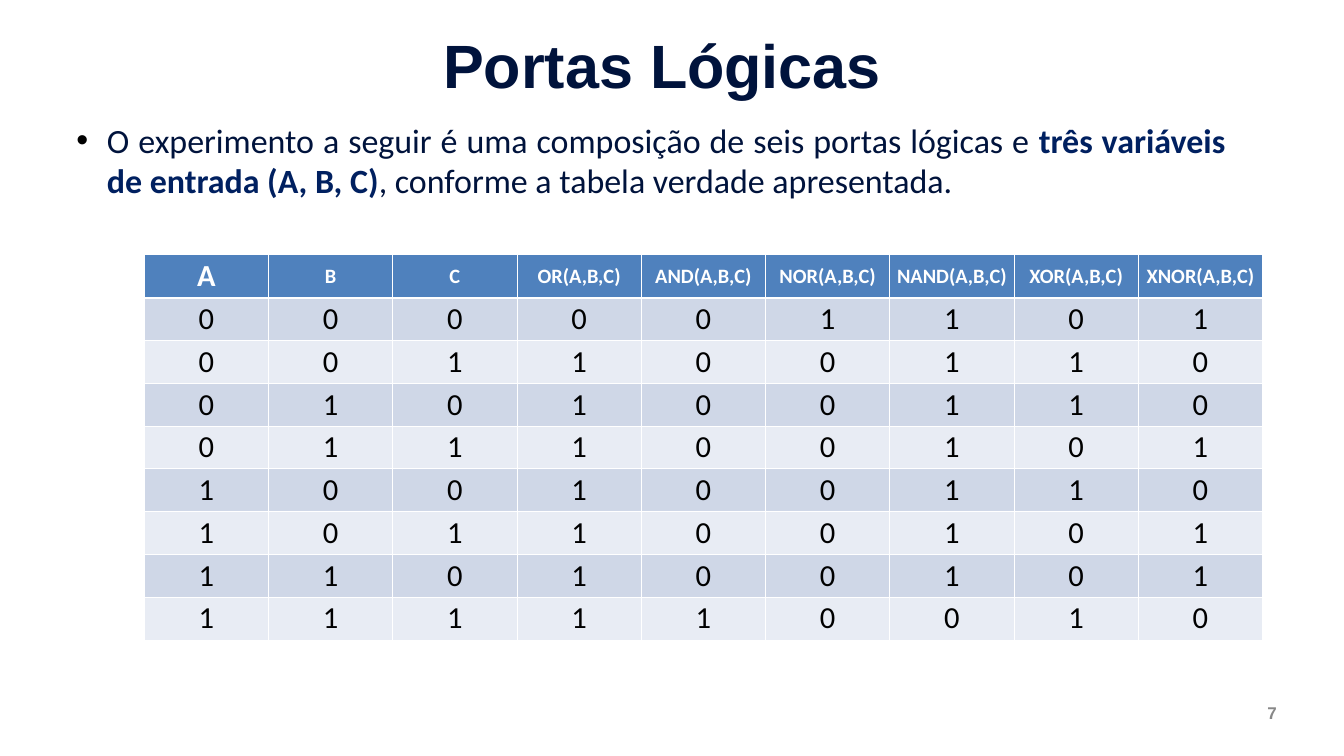
from itertools import product

from lxml import etree
from pptx import Presentation
from pptx.dml.color import RGBColor
from pptx.enum.text import MSO_ANCHOR, MSO_AUTO_SIZE, PP_ALIGN
from pptx.oxml.ns import qn
from pptx.util import Inches, Pt

CENTER, RIGHT, JUSTIFY = PP_ALIGN.CENTER, PP_ALIGN.RIGHT, PP_ALIGN.JUSTIFY
TOP, MIDDLE = MSO_ANCHOR.TOP, MSO_ANCHOR.MIDDLE
NO_AUTOSIZE = MSO_AUTO_SIZE.NONE

NAVY = RGBColor(0x00, 0x13, 0x3C)
BLUE = RGBColor(0x00, 0x20, 0x60)
GRAY = RGBColor(0x88, 0x88, 0x88)
BLACK = RGBColor(0x00, 0x00, 0x00)
WHITE = RGBColor(0xFF, 0xFF, 0xFF)
HEADER_FILL = RGBColor(0x4F, 0x81, 0xBD)
BAND_FILLS = (RGBColor(0xCF, 0xD7, 0xE7), RGBColor(0xE8, 0xEC, 0xF4))

HEADERS = ["A", "B", "C", "OR(A,B,C)", "AND(A,B,C)", "NOR(A,B,C)",
           "NAND(A,B,C)", "XOR(A,B,C)", "XNOR(A,B,C)"]


def truth_rows():
    """Inputs A, B, C followed by OR, AND, NOR, NAND, XOR, XNOR."""
    rows = []
    for inputs in product((0, 1), repeat=3):
        any_on, all_on, odd = max(inputs), min(inputs), sum(inputs) % 2
        rows.append([*inputs, any_on, all_on, 1 - any_on, 1 - all_on, odd, 1 - odd])
    return rows


def add_run(p, text, font, size, color, bold=False):
    r = p.add_run()
    r.text = text
    r.font.name = font
    r.font.size = Pt(size)
    r.font.color.rgb = color
    r.font.bold = bold


def place_text(sp, left, top, width, height, align):
    """Position a text shape, strip its insets and return its first paragraph."""
    sp.left, sp.top = Inches(left), Inches(top)
    sp.width, sp.height = Inches(width), Inches(height)
    tf = sp.text_frame
    tf.word_wrap = True
    tf.auto_size = NO_AUTOSIZE
    tf.vertical_anchor = TOP
    tf.margin_left = tf.margin_right = tf.margin_top = tf.margin_bottom = 0
    p = tf.paragraphs[0]
    p.alignment = align
    p.space_before = Pt(0)
    return p


def add_bullet(p, left, hanging):
    pPr = p._p.get_or_add_pPr()
    pPr.set("marL", str(Inches(left)))
    pPr.set("indent", str(-Inches(hanging)))
    color = etree.SubElement(pPr, qn("a:buClr"))
    etree.SubElement(color, qn("a:srgbClr"), val=str(BLACK))
    etree.SubElement(pPr, qn("a:buFont"), typeface="Arial")
    etree.SubElement(pPr, qn("a:buChar"), char="•")


def set_borders(cell, **widths):
    tcPr = cell._tc.get_or_add_tcPr()
    for side in "LRTB":
        ln = etree.SubElement(tcPr, qn(f"a:ln{side}"), w=str(Pt(widths.get(side, 1))))
        fill = etree.SubElement(ln, qn("a:solidFill"))
        etree.SubElement(fill, qn("a:srgbClr"), val=str(WHITE))


def fill_cell(cell, text, size, color, fill, bold=False, **borders):
    set_borders(cell, **borders)
    cell.fill.solid()
    cell.fill.fore_color.rgb = fill
    cell.vertical_anchor = MIDDLE
    cell.margin_top = cell.margin_bottom = Inches(0.03)
    p = cell.text_frame.paragraphs[0]
    p.alignment = CENTER
    add_run(p, text, "Calibri", size, color, bold)


def add_truth_table(slide):
    rows = truth_rows()
    table = slide.shapes.add_table(len(rows) + 1, len(HEADERS), Inches(2.36),
                                   Inches(4.17), Inches(18.3), Inches(6.3)).table
    for col, name in enumerate(HEADERS):
        size = 36 if col == 0 else 24
        fill_cell(table.cell(0, col), name, size, WHITE, HEADER_FILL, True, B=3)
    for i, values in enumerate(rows):
        for col, value in enumerate(values):
            fill_cell(table.cell(i + 1, col), str(value), 36, BLACK,
                      BAND_FILLS[i % 2], T=3 if i == 0 else 1)


def main():
    prs = Presentation()
    prs.slide_width, prs.slide_height = Inches(21.99), Inches(12.37)
    slide = prs.slides.add_slide(prs.slide_layouts[1])

    # Title
    p = place_text(slide.shapes.title, 1, 0.45, 19.67, 1.21, CENTER)
    add_run(p, "Portas Lógicas", "Arial", 72, NAVY, True)

    # Introduction
    p = place_text(slide.placeholders[1], 1, 1.95, 19.05, 2.02, JUSTIFY)
    add_bullet(p, 0.75, 0.5)
    add_run(p, "O experimento a seguir é uma composição de seis portas lógicas e ",
            "Calibri", 40, NAVY)
    add_run(p, "três variáveis de entrada (A, B, C)", "Calibri", 40, BLUE, True)
    add_run(p, ", conforme a tabela verdade apresentada.", "Calibri", 40, NAVY)

    # Truth table
    add_truth_table(slide)

    # Page number
    sp = slide.shapes.add_textbox(0, 0, 0, 0)
    p = place_text(sp, 15.83, 11.5, 5.06, 0.34, RIGHT)
    add_run(p, "7", "Arial", 20, GRAY, True)

    prs.save("out.pptx")


if __name__ == "__main__":
    main()
